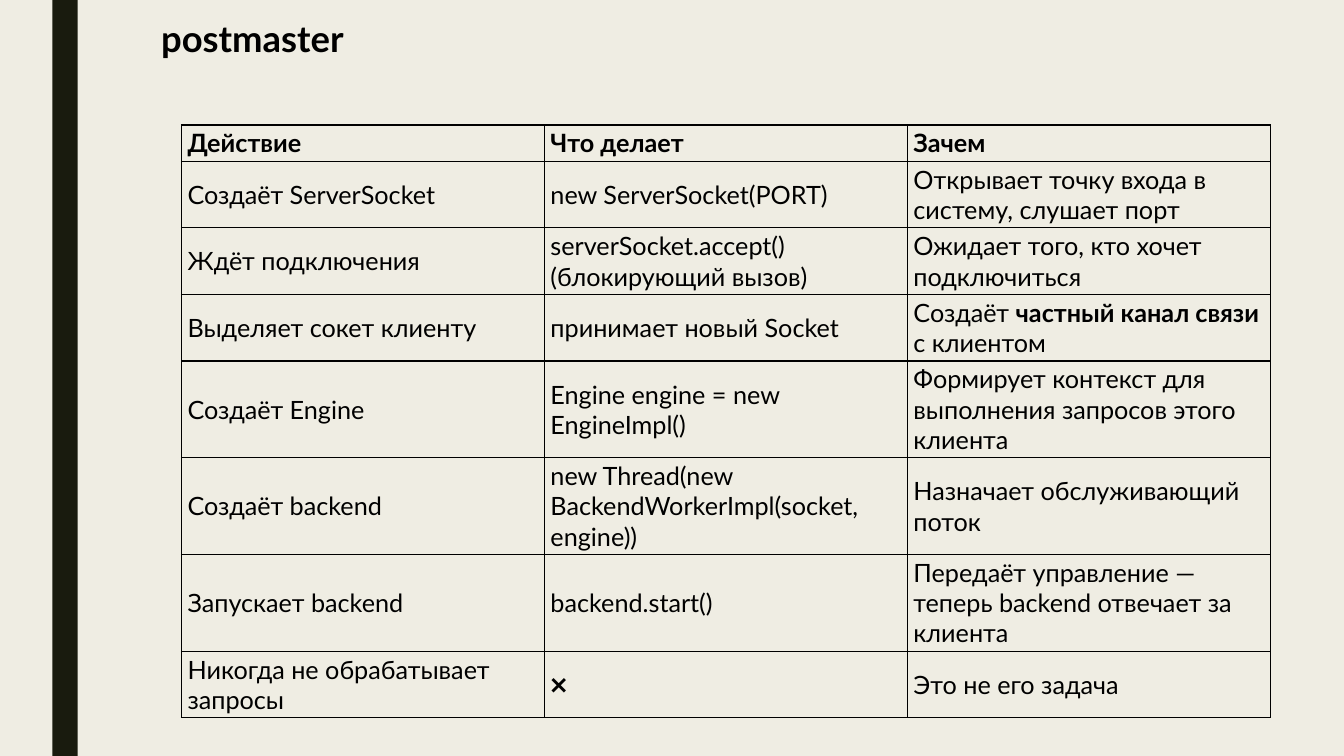
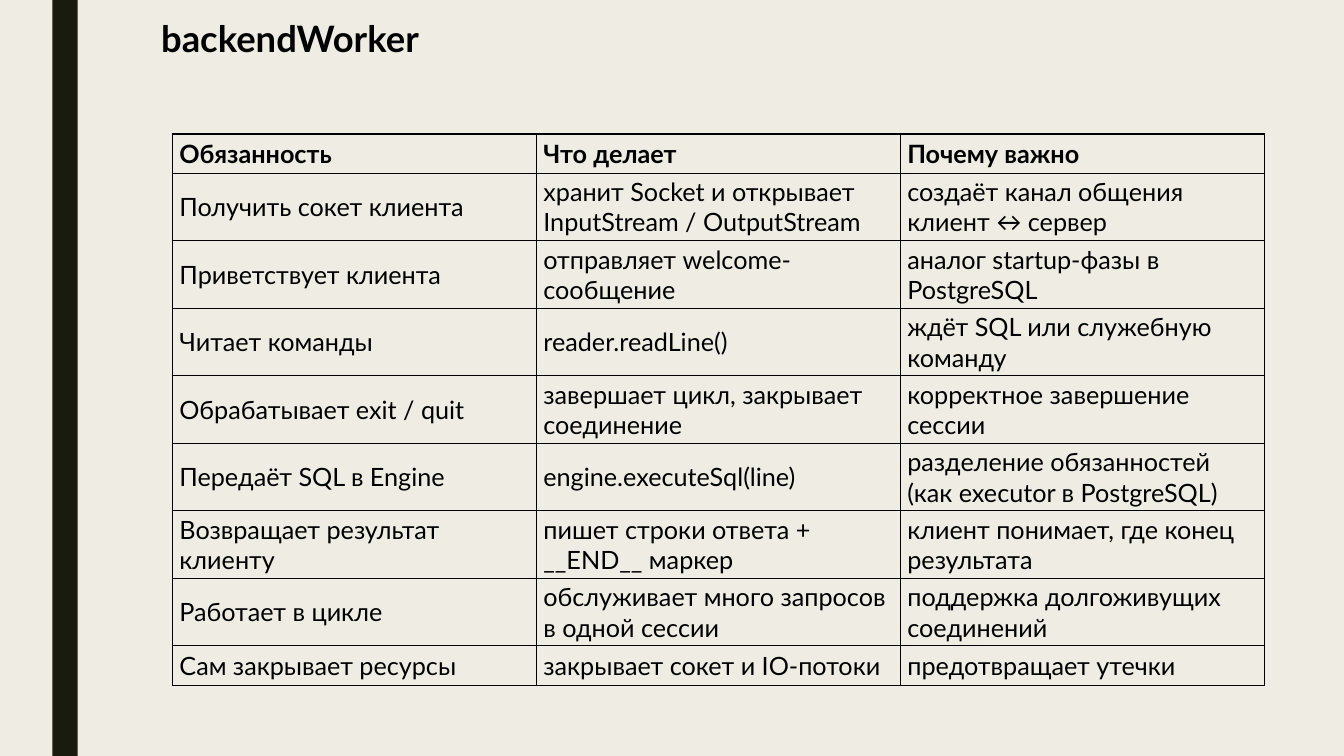
import pptx
import pptx.dml.color
import pptx.enum.shapes
import pptx.enum.text
import pptx.oxml
import pptx.oxml.ns
import pptx.util
from pptx.util import Inches

FONT = "Lato"
PAPER = "EFEDE3"
BAND = "191B0E"
INK = "000000"
TITLE_SIZE = 26
CELL_SIZE = 18
BORDER_WIDTH = pptx.util.Pt(1)
BOLD_MARK = "**"

TABLES = [
    {
        "title": "postmaster",
        "left": 1.8, "top": 1.24, "column": 3.6, "inset": 0.06,
        "heights": [0.36] + [0.62] * 3 + [0.89] * 3 + [0.62],
        "rows": [
            ["Действие", "Что делает", "Зачем"],
            ["Создаёт ServerSocket", "new ServerSocket(PORT)",
             "Открывает точку входа в систему, слушает порт"],
            ["Ждёт подключения", "serverSocket.accept() (блокирующий вызов)",
             "Ожидает того, кто хочет подключиться"],
            ["Выделяет сокет клиенту", "принимает новый Socket",
             "Создаёт **частный канал связи** с клиентом"],
            ["Создаёт Engine", "Engine engine = new EngineImpl()",
             "Формирует контекст для выполнения запросов этого клиента"],
            ["Создаёт backend", "new Thread(new BackendWorkerImpl(socket, engine))",
             "Назначает обслуживающий поток"],
            ["Запускает backend", "backend.start()",
             "Передаёт управление — теперь backend отвечает за клиента"],
            ["Никогда не обрабатывает запросы", "❌", "Это не его задача"],
        ],
    },
    {
        "title": "backendWorker",
        "left": 1.71, "top": 1.33, "column": 3.61, "inset": 0.07,
        "heights": [0.39] + [0.67] * 7 + [0.39],
        "rows": [
            ["Обязанность", "Что делает", "Почему важно"],
            ["Получить сокет клиента",
             "хранит Socket и открывает InputStream / OutputStream",
             "создаёт канал общения клиент ↔ сервер"],
            ["Приветствует клиента", "отправляет welcome-сообщение",
             "аналог startup-фазы в PostgreSQL"],
            ["Читает команды", "reader.readLine()",
             "ждёт SQL или служебную команду"],
            ["Обрабатывает exit / quit", "завершает цикл, закрывает соединение",
             "корректное завершение сессии"],
            ["Передаёт SQL в Engine", "engine.executeSql(line)",
             "разделение обязанностей (как executor в PostgreSQL)"],
            ["Возвращает результат клиенту", "пишет строки ответа + __END__ маркер",
             "клиент понимает, где конец результата"],
            ["Работает в цикле", "обслуживает много запросов в одной сессии",
             "поддержка долгоживущих соединений"],
            ["Сам закрывает ресурсы", "закрывает сокет и IO-потоки",
             "предотвращает утечки"],
        ],
    },
]


def paint(fill, color):
    fill.solid()
    fill.fore_color.rgb = pptx.dml.color.RGBColor.from_string(color)


def add_run(paragraph, text, size, bold):
    run = paragraph.add_run()
    run.text = text
    run.font.name = FONT
    run.font.size = pptx.util.Pt(size)
    run.font.bold = bold
    paint(run.font.fill, INK)


presentation = pptx.Presentation()
presentation.slide_width = Inches(13.33)
presentation.slide_height = Inches(7.5)
paint(presentation.slide_master.background.fill, PAPER)

for content in TABLES:
    slide = presentation.slides.add_slide(presentation.slide_layouts[6])

    band = slide.shapes.add_shape(
        pptx.enum.shapes.MSO_SHAPE.RECTANGLE,
        Inches(0.52), 0, Inches(0.25), presentation.slide_height)
    band.shadow.inherit = False
    paint(band.fill, BAND)
    band.line.fill.background()

    title = slide.shapes.add_textbox(Inches(1.5), Inches(0.16), Inches(10.96), Inches(1.18))
    title.text_frame.word_wrap = True
    title_paragraph = title.text_frame.paragraphs[0]
    title_paragraph.line_spacing = 0.89
    add_run(title_paragraph, content["title"], TITLE_SIZE, True)

    rows = content["rows"]
    column_count = len(rows[0])
    table = slide.shapes.add_table(
        len(rows), column_count, Inches(content["left"]), Inches(content["top"]),
        Inches(content["column"] * column_count), Inches(sum(content["heights"]))).table
    table.first_row = True
    table.horz_banding = False
    for column in table.columns:
        column.width = Inches(content["column"])

    for row_index, texts in enumerate(rows):
        table.rows[row_index].height = Inches(content["heights"][row_index])
        for column_index, text in enumerate(texts):
            cell = table.cell(row_index, column_index)
            cell.fill.background()
            cell.vertical_anchor = pptx.enum.text.MSO_ANCHOR.MIDDLE
            cell.margin_left = cell.margin_right = Inches(content["inset"])
            cell.margin_top = cell.margin_bottom = Inches(0.03)
            for part_index, part in enumerate(text.split(BOLD_MARK)):
                bold = row_index == 0 or part_index % 2 == 1
                add_run(cell.text_frame.paragraphs[0], part, CELL_SIZE, bold)
            cell_properties = cell._tc.get_or_add_tcPr()
            for position, side in enumerate(["lnL", "lnR", "lnT", "lnB"]):
                border = pptx.oxml.parse_xml(
                    f'<a:{side} {pptx.oxml.ns.nsdecls("a")} w="{BORDER_WIDTH}">'
                    f'<a:solidFill><a:srgbClr val="{INK}"/></a:solidFill></a:{side}>')
                cell_properties.insert(position, border)

presentation.save("out.pptx")
